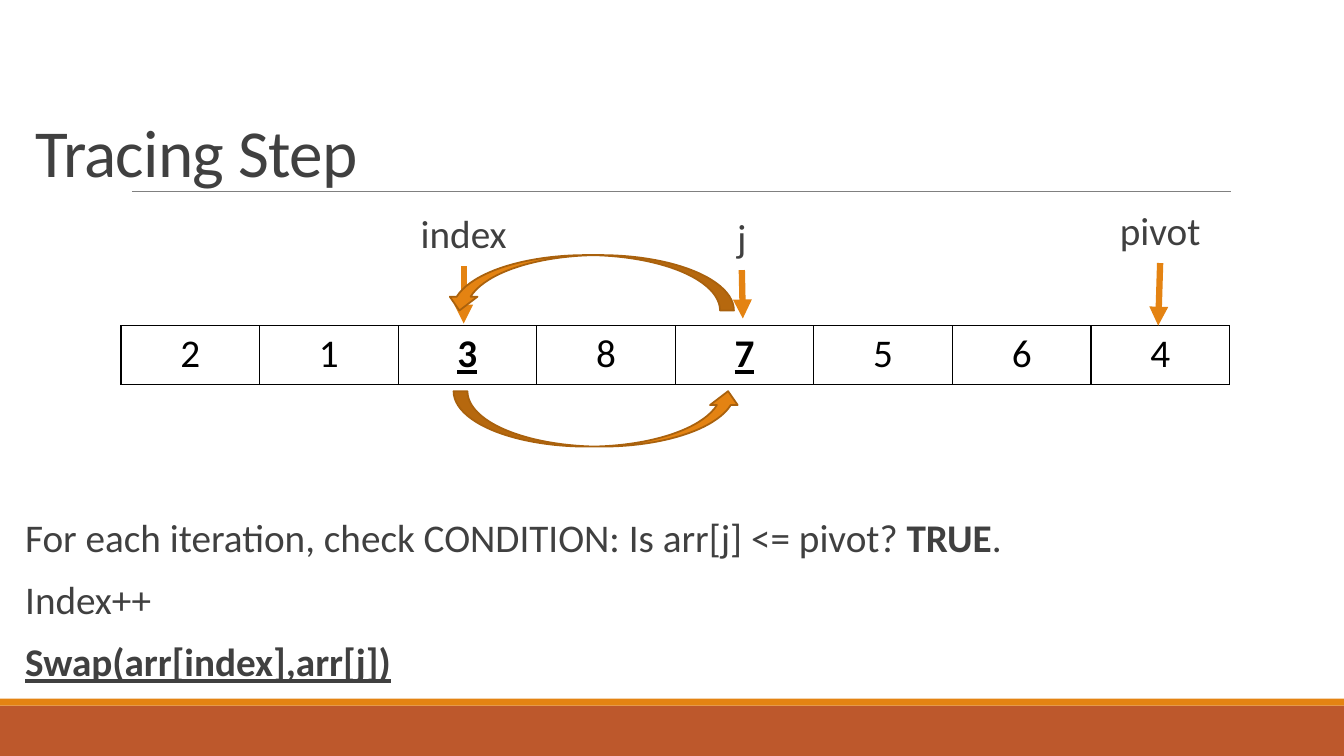
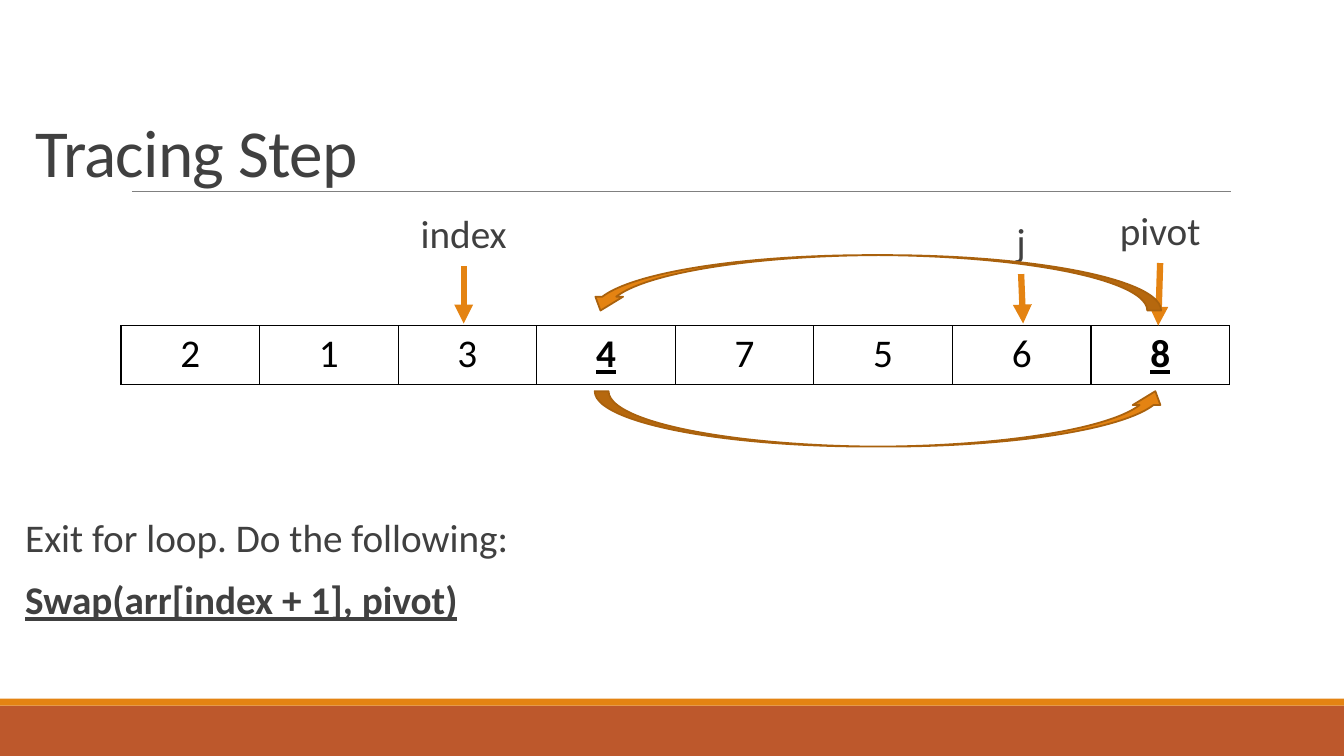
from dataclasses import dataclass
from lxml.etree import SubElement
from pptx import Presentation
from pptx.dml.color import RGBColor
from pptx.enum.shapes import MSO_CONNECTOR, MSO_SHAPE
from pptx.enum.text import MSO_ANCHOR, MSO_AUTO_SIZE, PP_ALIGN
from pptx.oxml import parse_xml
from pptx.oxml.ns import nsdecls, qn
from pptx.util import Pt


@dataclass(frozen=True)
class Theme:
    font: str = "Calibri"
    title_size: int = 48
    text_size: int = 28
    ink: str = "404040"
    black: str = "000000"
    white: str = "FFFFFF"
    rule: str = "808080"
    accent: str = "E48312"
    outline: str = "A9610D"
    band: str = "BD582C"


T = Theme()

TRACES = [
    dict(
        values="21387564",
        swapped=(2, 4),
        j=("j", 529.9, 152.6, 530.6, 227.5),
        swap=(324, 206),
        notes=[
            [("For each iteration, check CONDITION: Is arr[j] <= pivot? ", False, False),
             ("TRUE", True, False), (".", False, False)],
            [("Index++", False, False)],
            [("Swap(arr[index],arr[j])", True, True)],
        ],
    ),
    dict(
        values="21347568",
        swapped=(3, 7),
        j=("j", 729.4, 155.5, 730.8, 231.1),
        swap=(424.8, 410.4),
        notes=[
            [("Exit for loop. Do the following:", False, False)],
            [("Swap(arr[index + 1], pivot)", True, True)],
        ],
    ),
]
PIVOT = ("pivot", 828.7, 147.6, 827.3, 232.6)
INDEX = ("index", 331.2, 149.8, 331.2, 231.1)
LABEL_W, LABEL_H = 66.2, 40.3
CELL_W, CELL_H = 99, 41.8


def add_text(s, x, y, w, h, lines, align=PP_ALIGN.LEFT):
    tf = s.shapes.add_textbox(Pt(x), Pt(y), Pt(w), Pt(h)).text_frame
    tf.word_wrap = True
    tf.margin_left = tf.margin_right = 0
    for i, line in enumerate(lines):
        p = tf.paragraphs[0] if i == 0 else tf.add_paragraph()
        p.alignment = align
        p.line_spacing = 0.9
        p.space_before, p.space_after = Pt(12), Pt(2)
        for text, bold, underline in line:
            r = p.add_run()
            r.text = text
            r.font.name, r.font.size = T.font, Pt(T.text_size)
            r.font.color.rgb = RGBColor.from_string(T.ink)
            r.font.bold, r.font.underline = bold, underline


def add_line(s, x1, y1, x2, y2, color, width, arrow=False):
    ln = s.shapes.add_connector(MSO_CONNECTOR.STRAIGHT, Pt(x1), Pt(y1), Pt(x2), Pt(y2))
    ln.line.color.rgb = RGBColor.from_string(color)
    ln.line.width = Pt(width)
    if arrow:
        SubElement(ln.line._get_or_add_ln(), qn("a:tailEnd"), type="triangle")
    SubElement(ln.element.spPr, qn("a:effectLst"))
    return ln


prs = Presentation()
prs.slide_width, prs.slide_height = Pt(960), Pt(540)
layout = prs.slide_layouts[5]
slides = [prs.slides.add_slide(layout) for _ in TRACES]

shared = []
for y, h, color in [(504, 36, T.band), (499, 5, T.accent)]:
    sp = slides[0].shapes.add_shape(MSO_SHAPE.RECTANGLE, 0, Pt(y), prs.slide_width, Pt(h))
    sp.shadow.inherit = False
    sp.fill.solid()
    sp.fill.fore_color.rgb = RGBColor.from_string(color)
    sp.line.fill.background()
    shared.append(sp)
shared.append(add_line(slides[0], 94.3, 137, 879.1, 137, T.rule, 0.5))
for i, sp in enumerate(shared):
    sp.element.xpath("./*/p:cNvPr")[0].set("id", str(101 + i))
    layout.shapes.element.insert(2 + i, sp.element)

for s, trace in zip(slides, TRACES):
    title = s.shapes.title
    title.left, title.top, title.width, title.height = Pt(18), Pt(25.9), Pt(792), Pt(114.5)
    tf = title.text_frame
    tf.text = "Tracing Step"
    tf.auto_size = MSO_AUTO_SIZE.NONE
    tf.vertical_anchor = MSO_ANCHOR.BOTTOM
    p = tf.paragraphs[0]
    p.alignment, p.line_spacing = PP_ALIGN.LEFT, 0.85
    r = p.runs[0]
    r.font.name, r.font.size = T.font, Pt(T.title_size)
    r.font.color.rgb = RGBColor.from_string(T.ink)
    r.font._element.set("spc", "-50")

    values = trace["values"]
    table = s.shapes.add_table(1, len(values), Pt(86.4), Pt(232.6),
                               Pt(CELL_W * len(values)), Pt(CELL_H)).table
    table.first_row = table.horz_banding = False
    for i, value in enumerate(values):
        cell = table.cell(0, i)
        tcPr = cell._tc.get_or_add_tcPr()
        for side in ("lnL", "lnR", "lnT", "lnB"):
            tcPr.append(parse_xml(
                f'<a:{side} {nsdecls("a")} w="{Pt(1)}"><a:solidFill>'
                f'<a:srgbClr val="{T.black}"/></a:solidFill></a:{side}>'))
        cell.fill.solid()
        cell.fill.fore_color.rgb = RGBColor.from_string(T.white)
        p = cell.text_frame.paragraphs[0]
        p.text = value
        p.alignment = PP_ALIGN.CENTER
        r = p.runs[0]
        r.font.name, r.font.size = T.font, Pt(T.text_size)
        r.font.color.rgb = RGBColor.from_string(T.black)
        r.font.bold = r.font.underline = i in trace["swapped"]

    for name, x, y, tip_x, tip_y in (PIVOT, trace["j"], INDEX):
        add_text(s, x - LABEL_W / 2, y, LABEL_W, LABEL_H,
                 [[(name, False, False)]], PP_ALIGN.CENTER)
        add_line(s, x, y + LABEL_H, tip_x, tip_y, T.accent, 4.5, arrow=True)

    add_text(s, 18, 367.2, 792, 136.8, trace["notes"])

    left, width = trace["swap"]
    for x, y, turn in [(left, 279.4, 0), (left - 5.8, 182.2, 180)]:
        sp = s.shapes.add_shape(MSO_SHAPE.CURVED_UP_ARROW, Pt(x), Pt(y), Pt(width), Pt(39.6))
        sp.rotation = turn
        sp.shadow.inherit = False
        sp.fill.solid()
        sp.fill.fore_color.rgb = RGBColor.from_string(T.accent)
        sp.line.color.rgb = RGBColor.from_string(T.outline)
        sp.line.width = Pt(1.25)

prs.save("out.pptx")
